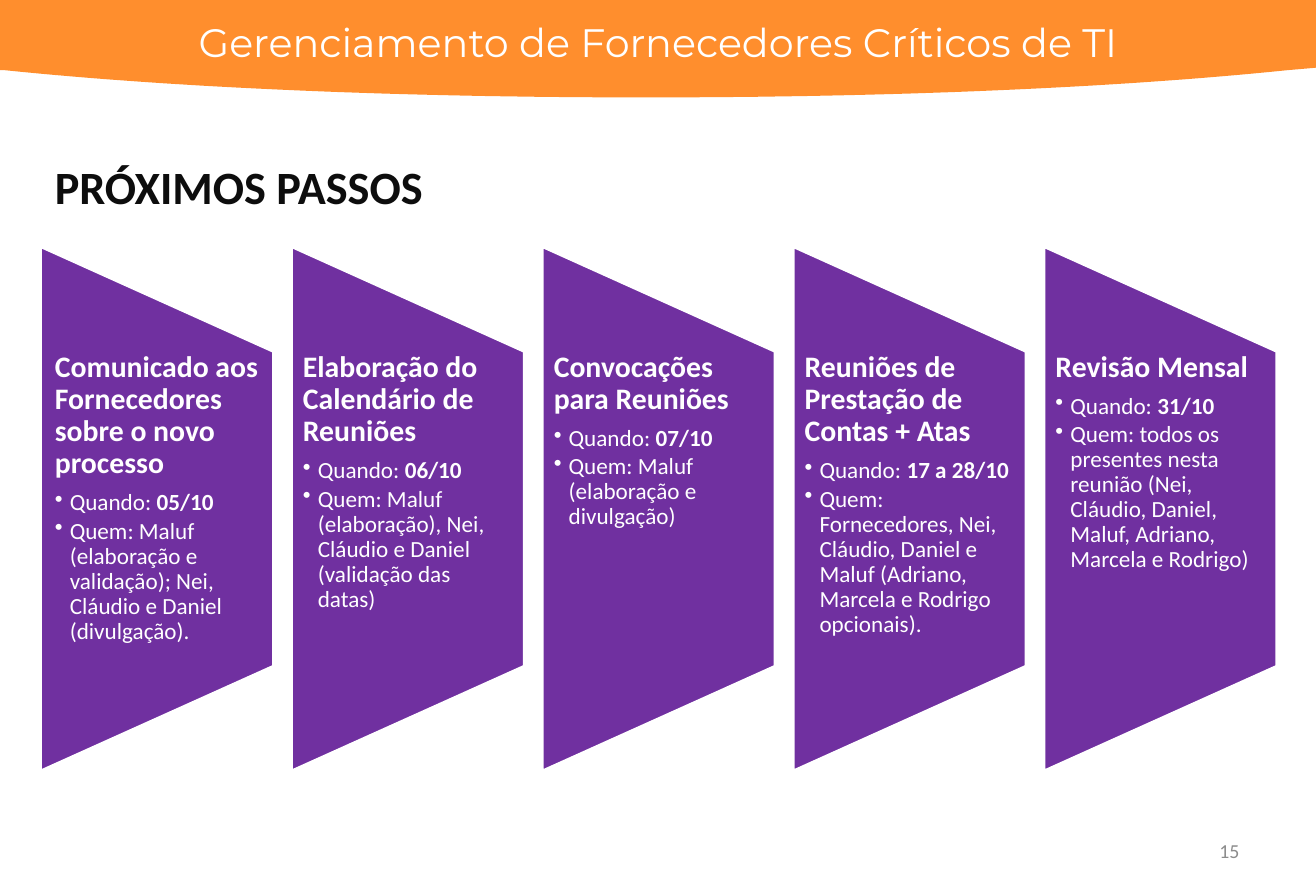
from lxml.etree import SubElement
from pptx import Presentation
from pptx.dml.color import RGBColor
from pptx.enum.shapes import MSO_SHAPE
from pptx.enum.text import MSO_ANCHOR, MSO_AUTO_SIZE, PP_ALIGN
from pptx.oxml.ns import qn
from pptx.util import Pt

ORANGE = RGBColor(0xFF, 0x8E, 0x2D)
PURPLE = RGBColor(0x70, 0x30, 0xA0)
WHITE = RGBColor(0xFF, 0xFF, 0xFF)
GRAY = RGBColor(0x8C, 0x8C, 0x8C)
BLACK = RGBColor(0x0D, 0x0D, 0x0D)

SLIDE_WIDTH, SLIDE_HEIGHT = 796.32, 540
STEP_LEFT, STEP_TOP, STEP_PITCH = 24.4, 149, 151.8
STEP_WIDTH, STEP_HEIGHT = 141.2, 318
TEXT_TOP, TEXT_HEIGHT = 213, 191
BULLET_INDENT = 9

# Lower edge of the banner, right to left, as cubic curves
BANNER_CURVES = [
    [(779, 42.5), (674, 53.3), (538.6, 59), (391, 59)],
    [(391, 59), (243.4, 59), (108, 53.3), (2.9, 42.5)],
]

# Heading, date, people in charge
STEPS = [
    ("Comunicado aos Fornecedores sobre o novo processo", "05/10",
     "Maluf (elaboração e validação); Nei, Cláudio e Daniel (divulgação)."),
    ("Elaboração do Calendário de Reuniões", "06/10",
     "Maluf (elaboração), Nei, Cláudio e Daniel (validação das datas)"),
    ("Convocações para Reuniões", "07/10",
     "Maluf (elaboração e divulgação)"),
    ("Reuniões de Prestação de Contas + Atas", "17 a 28/10",
     "Fornecedores, Nei, Cláudio, Daniel e Maluf "
     "(Adriano, Marcela e Rodrigo opcionais)."),
    ("Revisão Mensal", "31/10",
     "todos os presentes nesta reunião "
     "(Nei, Cláudio, Daniel, Maluf, Adriano, Marcela e Rodrigo)"),
]


def write(paragraph, text, size=14, color=WHITE, bold=False, font="Calibri",
          align=PP_ALIGN.LEFT):
    """Append one formatted run to the paragraph."""
    paragraph.alignment = align
    run = paragraph.add_run()
    run.text = text
    run.font.name = font
    run.font.size = Pt(size)
    run.font.bold = bold
    run.font.color.rgb = color


def add_frame(slide, left, top, width, height, anchor=MSO_ANCHOR.TOP):
    box = slide.shapes.add_textbox(Pt(left), Pt(top), Pt(width), Pt(height))
    frame = box.text_frame
    frame.word_wrap = True
    frame.vertical_anchor = anchor
    return frame


def curve_points(curve, segments=32):
    for i in range(segments + 1):
        t = i / segments
        weights = ((1 - t) ** 3, 3 * t * (1 - t) ** 2, 3 * t * t * (1 - t), t ** 3)
        yield tuple(Pt(sum(w * point[axis] for w, point in zip(weights, curve)))
                    for axis in (0, 1))


def add_banner(slide):
    outline = slide.shapes.build_freeform(0, 0)
    edge = [(Pt(SLIDE_WIDTH), 0), (Pt(SLIDE_WIDTH), Pt(41))]
    for curve in BANNER_CURVES:
        edge.extend(curve_points(curve))
    edge.append((0, Pt(42.5)))
    outline.add_line_segments(edge, close=True)
    banner = outline.convert_to_shape()
    banner.shadow.inherit = False
    banner.fill.solid()
    banner.fill.fore_color.rgb = ORANGE
    banner.line.fill.background()


def set_title(slide):
    title = slide.shapes.title
    title.left, title.top, title.width, title.height = Pt(26), Pt(92), Pt(257), Pt(41)
    frame = title.text_frame
    frame.auto_size = MSO_AUTO_SIZE.NONE
    frame.vertical_anchor = MSO_ANCHOR.TOP
    write(frame.paragraphs[0], "PRÓXIMOS PASSOS", size=28, color=BLACK, bold=True)


def add_panel(slide, left):
    """Draw the trapezoid, turned so that its long side faces left."""
    shift = (STEP_HEIGHT - STEP_WIDTH) / 2
    panel = slide.shapes.add_shape(
        MSO_SHAPE.FLOWCHART_MANUAL_OPERATION, Pt(left - shift), Pt(STEP_TOP + shift),
        Pt(STEP_HEIGHT), Pt(STEP_WIDTH))
    panel.rotation = 270
    panel.shadow.inherit = False
    panel.fill.solid()
    panel.fill.fore_color.rgb = PURPLE
    panel.line.color.rgb = WHITE
    panel.line.width = Pt(2)


def add_bullet(frame):
    paragraph = frame.add_paragraph()
    paragraph.level = 1
    paragraph.line_spacing = 0.9
    paragraph.space_after = Pt(2.1)
    properties = paragraph._p.get_or_add_pPr()
    properties.set("marL", str(Pt(BULLET_INDENT)))
    properties.set("indent", str(-Pt(BULLET_INDENT)))
    SubElement(properties, qn("a:buChar")).set("char", "•")
    return paragraph


def add_step(slide, left, inset, heading, date, people):
    add_panel(slide, left)
    frame = add_frame(slide, left, TEXT_TOP, STEP_WIDTH, TEXT_HEIGHT)
    frame.margin_left = frame.margin_right = Pt(inset)
    frame.margin_top = frame.margin_bottom = 0
    first = frame.paragraphs[0]
    first.line_spacing = 0.9
    first.space_after = Pt(6.3)
    write(first, heading, size=18, bold=True)
    when = add_bullet(frame)
    write(when, "Quando: ")
    write(when, date, bold=True)
    write(add_bullet(frame), f"Quem: {people}")


def main():
    presentation = Presentation()
    presentation.slide_width = Pt(SLIDE_WIDTH)
    presentation.slide_height = Pt(SLIDE_HEIGHT)
    slide = presentation.slides.add_slide(presentation.slide_layouts[5])

    add_banner(slide)
    subject = add_frame(slide, 40, 7, 716, 36)
    write(subject.paragraphs[0], "Gerenciamento de Fornecedores Críticos de TI",
          size=24, font="Montserrat", align=PP_ALIGN.CENTER)
    set_title(slide)
    for i, step in enumerate(STEPS):
        inset = 7.2 if i else 8.8
        add_step(slide, STEP_LEFT + i * STEP_PITCH, inset, *step)
    page_number = add_frame(slide, 571, 500.4, 186, 28.8, MSO_ANCHOR.MIDDLE)
    write(page_number.paragraphs[0], "15", size=12, color=GRAY, align=PP_ALIGN.RIGHT)

    presentation.save("out.pptx")


if __name__ == "__main__":
    main()
